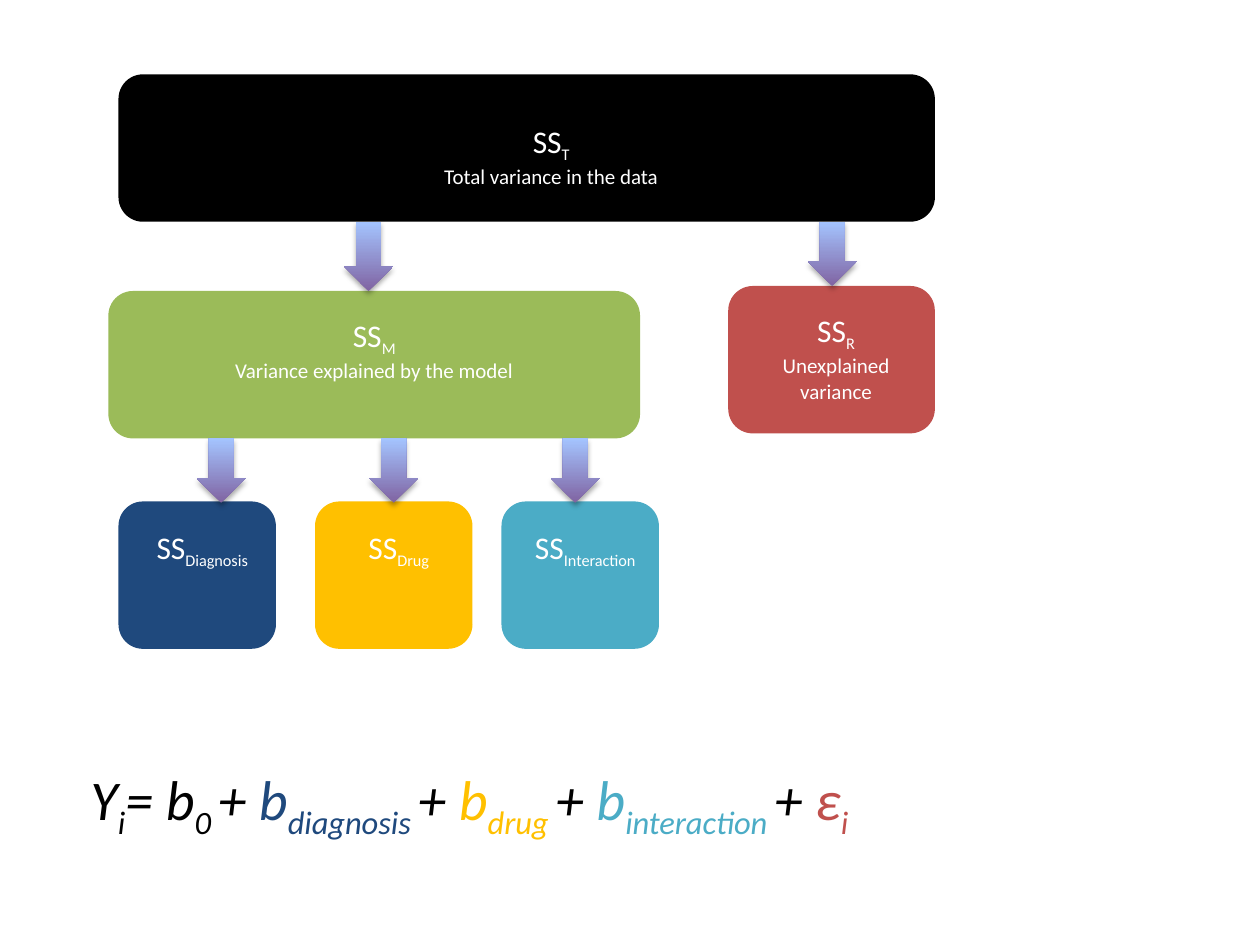
from lxml.etree import SubElement
from pptx import Presentation
from pptx.dml.color import RGBColor
from pptx.enum.shapes import MSO_SHAPE
from pptx.enum.text import PP_ALIGN
from pptx.oxml import parse_xml
from pptx.oxml.ns import nsdecls
from pptx.util import Inches, Pt

deck = Presentation()
deck.slide_width, deck.slide_height = Inches(10), Inches(7.5)
page = deck.slides.add_slide(deck.slide_layouts[6])

# Grid of 100 columns by 75 rows
COLUMN, ROW = deck.slide_width / 100, deck.slide_height / 75
BLACK, GREEN, RED = "000000", "9BBB59", "C0504D"
NAVY, GOLD, TEAL = "1F497D", "FFC000", "4BACC6"
BOX_ROWS, ARROW_COLUMNS = 11.7, 3.9
SHADOW = (f'<a:effectLst {nsdecls("a")}><a:outerShdw blurRad="39370" dist="22860" dir="5400000" '
          'rotWithShape="0"><a:srgbClr val="000000"><a:alpha val="35000"/></a:srgbClr>'
          '</a:outerShdw></a:effectLst>')


def place(left, top, width, height):
    return [round(n) for n in (left * COLUMN, top * ROW, width * COLUMN, height * ROW)]


def add_span(para, text, size, color, lowered=False):
    span = para.add_run()
    span.text = text
    span.font.size = Pt(size)
    span.font.color.rgb = RGBColor.from_string(color)
    if lowered:
        span.font._element.set("baseline", "-25000")


# Variance boxes: left, top, width, fill, label left, top, width, height, subscript, caption
boxes = [
    (9.4, 5.9, 64.8, BLACK, 28.1, 9.2, 31.3, 6.1, "T", "Total variance in the data"),
    (8.6, 23.1, 42.2, GREEN, 16.4, 24.6, 26.6, 6.1, "M", "Variance explained by the model"),
    (57.8, 22.7, 16.4, RED, 60.9, 24.2, 10.9, 8.1, "R", "Unexplained variance"),
]
for left, color, name in [(9.4, NAVY, "Diagnosis"), (25, GOLD, "Drug"), (39.8, TEAL, "Interaction")]:
    boxes.append((left, 39.8, 12.5, color, left + 0.8, 41.4, 11.7, 4, name, None))

for left, top, width, color, *label_area, subscript, caption in boxes:
    box = page.shapes.add_shape(MSO_SHAPE.ROUNDED_RECTANGLE, *place(left, top, width, BOX_ROWS))
    box.shadow.inherit = False
    box.fill.solid()
    box.fill.fore_color.rgb = RGBColor.from_string(color)
    box.line.fill.background()

    label = page.shapes.add_textbox(*place(*label_area)).text_frame
    label.word_wrap = True
    para = label.paragraphs[0]
    para.alignment = PP_ALIGN.CENTER
    para.font.name = "Calibri"
    add_span(para, "SS", 18, "FFFFFF")
    add_span(para, subscript, 16, "FFFFFF", lowered=True)
    if caption:
        para = label.add_paragraph()
        para.alignment = PP_ALIGN.CENTER
        para.font.name = "Calibri"
        add_span(para, caption, 12, "FFFFFF")

# Arrows between the levels: left, top, height
for left, top, height in [(27.3, 17.6, 5.5), (64.1, 17.6, 5.1),
                          (15.6, 34.8, 5.1), (29.3, 34.8, 5.1), (43.7, 34.8, 5.1)]:
    arrow = page.shapes.add_shape(MSO_SHAPE.DOWN_ARROW, *place(left, top, ARROW_COLUMNS, height))
    arrow.fill.gradient()
    arrow.fill.gradient_angle = 90
    for stop, color in zip(arrow.fill.gradient_stops, ("8064A2", "A4C4FF")):
        stop.color.rgb = RGBColor.from_string(color)
    arrow.line.fill.background()
    arrow._element.spPr.append(parse_xml(SHADOW))

# Model equation: text, colour, subscript
equation = page.shapes.add_textbox(*place(6.2, 60.2, 70.3, 6.4)).text_frame
equation.word_wrap = True
para = equation.paragraphs[0]
para.font.name = "Calibri"
para.font.italic = True
terms = [("Y", BLACK, "i"), ("= b", BLACK, "0 ")]
for color, name in [(NAVY, "diagnosis "), (GOLD, "drug "), (TEAL, "interaction ")]:
    terms += [("+ ", BLACK, None), ("b", color, name)]
terms += [("+ ", BLACK, None), ("ε", RED, "i")]
for text, color, subscript in terms:
    add_span(para, text, 32, color)
    if subscript:
        add_span(para, subscript, 32, color, lowered=True)

deck.save("out.pptx")
